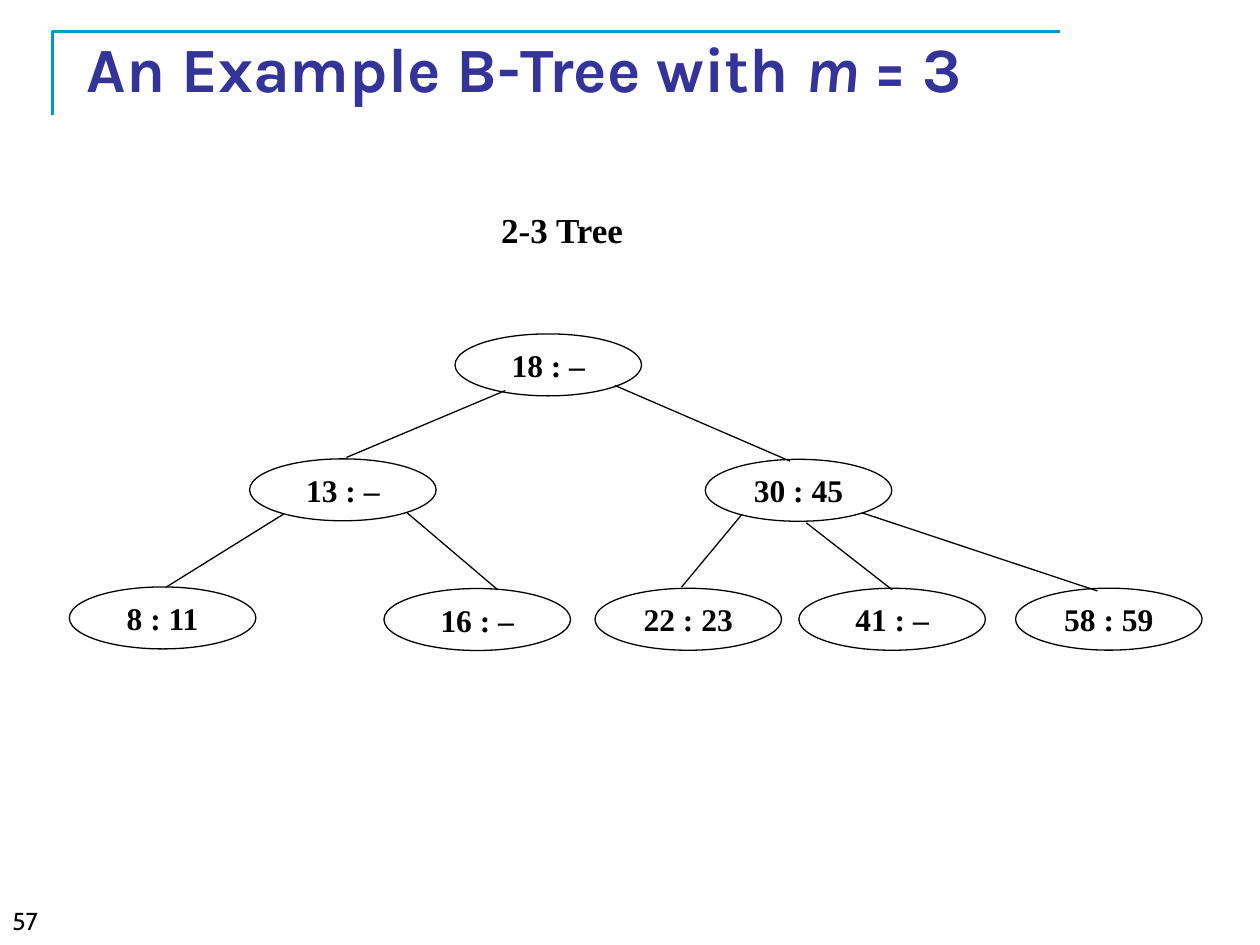
from typing import Any, NamedTuple

from lxml.etree import SubElement
from pptx import Presentation
from pptx.dml.color import RGBColor
from pptx.enum.shapes import MSO_CONNECTOR as Connector, MSO_SHAPE as Shape
from pptx.enum.text import MSO_ANCHOR as Anchor, PP_ALIGN as Align
from pptx.oxml.ns import qn
from pptx.util import Pt

COLORS = {"rule": "0099CC", "title": "333399", "ink": "000000", "paper": "FFFFFF"}
NODE_WIDTH, NODE_HEIGHT = 106.6, 35.4

TITLE_FONT = {"name": "Karla", "size": Pt(36), "bold": True}
CAPTION_FONT = {"name": "Times New Roman", "size": Pt(20), "bold": True}
KEY_FONT = {"name": "Times New Roman", "size": Pt(18), "bold": True}
NUMBER_FONT = {"name": "Cabin", "size": Pt(14)}


class Node(NamedTuple):
    keys: str
    left: float
    top: float


class Edge(NamedTuple):
    parent_x: float
    parent_y: float
    child_x: float
    child_y: float


class Label(NamedTuple):
    runs: list[tuple[str, dict[str, Any]]]
    box: tuple[float, float, float, float]
    font: dict[str, Any]
    color: str
    paragraph: dict[str, Any]
    anchor: Anchor = Anchor.TOP


NODES = [
    Node("18 : –", 260, 190.8),
    Node("13 : –", 142.6, 262.2),
    Node("30 : 45", 403, 262.5),
    Node("8 : 11", 39.6, 335.4),
    Node("16 : –", 219.4, 336.3),
    Node("22 : 23", 340, 336.2),
    Node("41 : –", 456.5, 336.2),
    Node("58 : 59", 580.3, 336.1),
]

EDGES = [
    Edge(288.7, 223.2, 198, 261.4),
    Edge(351.4, 220.3, 451.4, 263.5),
    Edge(162, 293.8, 95, 335.5),
    Edge(232.6, 293, 284.4, 337),
    Edge(424.1, 293.8, 389.5, 335.5),
    Edge(460.8, 298.8, 509.8, 337),
    Edge(492.5, 293, 627.1, 337.7),
]

LABELS = [
    Label([("57", {})], (0, 514, 224.6, 26), NUMBER_FONT, "ink", {}),
    Label([("2-3 Tree", {})], (44, 113, 554.4, 34), CAPTION_FONT, "ink",
          {"alignment": Align.CENTER, "line_spacing": 1.1}),
    Label([("An Example B-Tree with ", {}), ("m ", {"italic": True}), ("= 3", {})],
          (42.5, 21.6, 612, 34), TITLE_FONT, "title",
          {"alignment": Align.JUSTIFY}, Anchor.MIDDLE),
]


def rgb(color: str) -> RGBColor:
    return RGBColor.from_string(COLORS[color])


def apply_format(target: Any, values: dict[str, Any]) -> None:
    for attribute, value in values.items():
        setattr(target, attribute, value)


def add_run(paragraph: Any, text: str, font: dict[str, Any], color: str) -> None:
    run = paragraph.add_run()
    run.text = text
    apply_format(run.font, font)
    run.font.color.rgb = rgb(color)


def style_line(line: Any, color: str, width: float) -> None:
    line.color.rgb = rgb(color)
    line.width = Pt(width)


def draw_title_rule(slide: Any) -> None:
    """Draw the corner line to the left of and above the title."""
    builder = slide.shapes.build_freeform(Pt(30), Pt(66), scale=1.0)
    builder.add_line_segments([(Pt(30), Pt(18)), (Pt(606), Pt(18))], close=False)
    rule = builder.convert_to_shape()
    rule.shadow.inherit = False
    rule.fill.background()
    style_line(rule.line, "rule", 1.5)


def draw_label(slide: Any, label: Label) -> None:
    frame = slide.shapes.add_textbox(*map(Pt, label.box)).text_frame
    apply_format(frame, {"word_wrap": True, "vertical_anchor": label.anchor})
    paragraph = frame.paragraphs[0]
    apply_format(paragraph, label.paragraph)
    for text, emphasis in label.runs:
        add_run(paragraph, text, label.font | emphasis, label.color)


def draw_node(slide: Any, node: Node) -> None:
    oval = slide.shapes.add_shape(
        Shape.OVAL, Pt(node.left), Pt(node.top), Pt(NODE_WIDTH), Pt(NODE_HEIGHT))
    oval.shadow.inherit = False
    oval.fill.solid()
    oval.fill.fore_color.rgb = rgb("paper")
    style_line(oval.line, "ink", 0.75)
    frame = oval.text_frame
    apply_format(frame, {"word_wrap": False, "vertical_anchor": Anchor.MIDDLE})
    paragraph = frame.paragraphs[0]
    paragraph.alignment = Align.CENTER
    add_run(paragraph, node.keys, KEY_FONT, "ink")


def draw_edge(slide: Any, edge: Edge) -> None:
    branch = slide.shapes.add_connector(Connector.STRAIGHT, *map(Pt, edge))
    style_line(branch.line, "ink", 0.75)
    SubElement(branch._element.spPr, qn("a:effectLst"))


def main() -> None:
    deck = Presentation()
    deck.slide_width, deck.slide_height = Pt(720), Pt(540)
    slide = deck.slides.add_slide(deck.slide_layouts[6])
    page_number, caption, title = LABELS

    draw_title_rule(slide)
    draw_label(slide, page_number)
    draw_label(slide, caption)
    for node in NODES:
        draw_node(slide, node)
    for edge in EDGES:
        draw_edge(slide, edge)
    draw_label(slide, title)
    deck.save("out.pptx")


if __name__ == "__main__":
    main()
